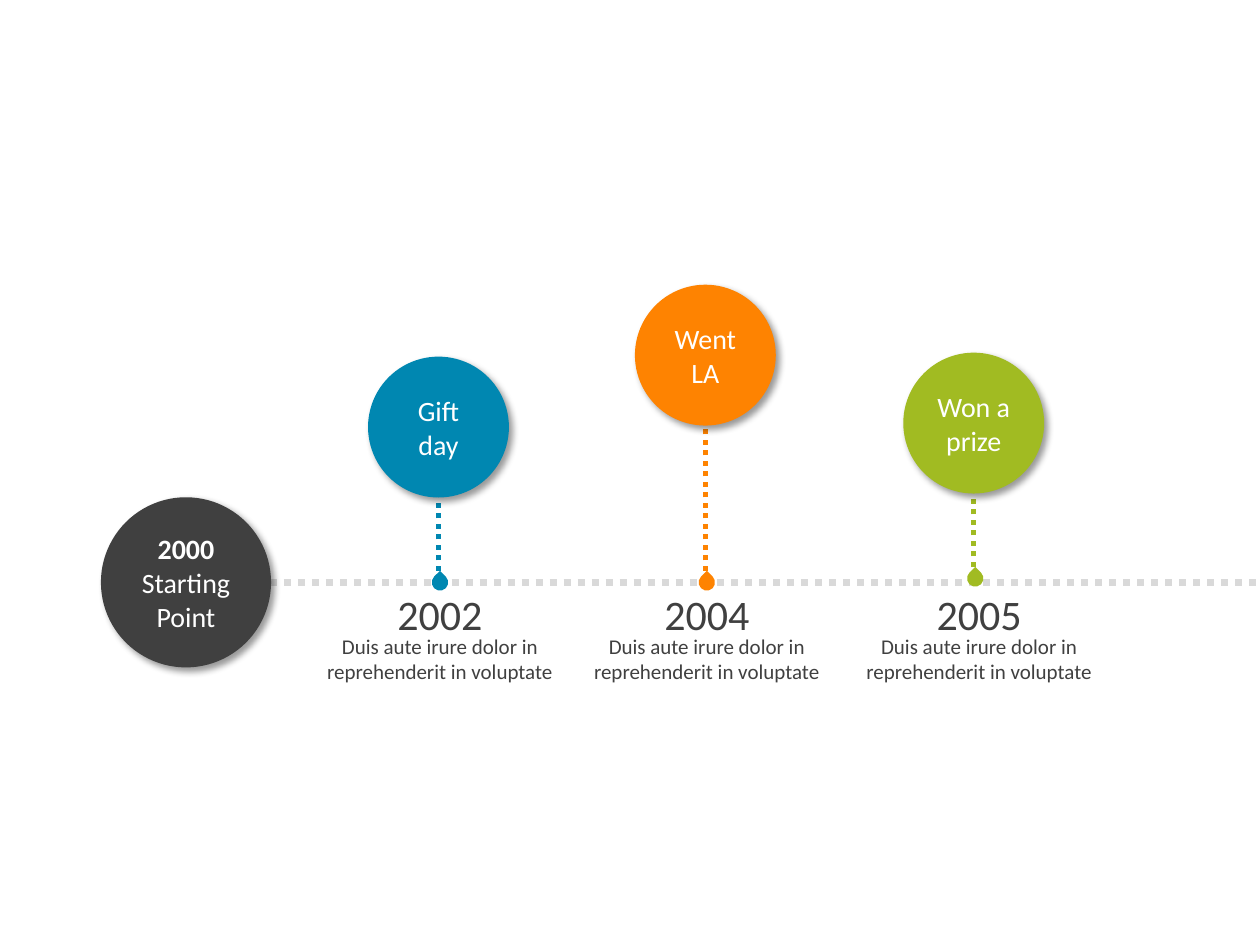
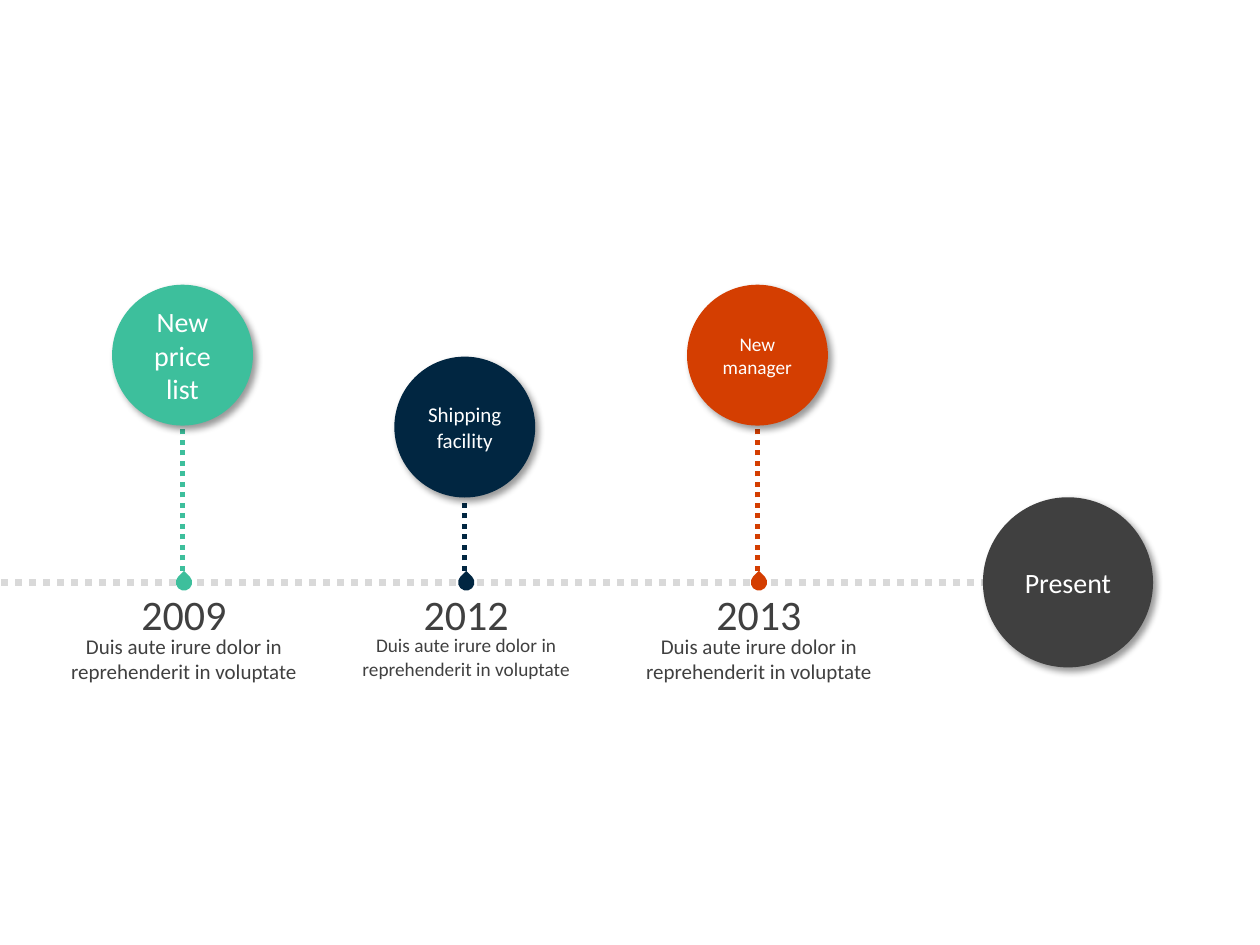
"""Build a two-slide timeline of dated events between a starting point and the present."""
from typing import NamedTuple

from lxml.etree import SubElement
from pptx import Presentation
from pptx.dml.color import RGBColor
from pptx.enum.dml import MSO_LINE
from pptx.enum.shapes import MSO_CONNECTOR, MSO_SHAPE
from pptx.enum.text import MSO_ANCHOR, MSO_AUTO_SIZE, PP_ALIGN
from pptx.oxml.ns import qn
from pptx.util import Cm, Pt

COLOURS = {
    "axis": "D9D9D9", "dark": "404040", "white": "FFFFFF", "shadow": "000000",
    "blue": "0087B1", "orange": "FE8301", "green": "A1BB22",
    "teal": "3DBF9C", "navy": "012641", "red": "D43E01",
}
FONT = "Calibri"
DETAIL = "Duis aute irure dolor in reprehenderit in voluptate"
AXIS_Y = 11.74
MILESTONE_SIZE = 3.43
BUBBLE_SIZE = 2.84
DROP_SIZE = 0.33
DROP_SHIFT = 0.03
HIGH, LOW = 5.74, 7.19


class Event(NamedTuple):
    year: str
    caption: str
    colour: str
    centre: float
    top: float
    caption_size: int = 16
    detail_size: int = 12
    lift: float = 0
    label_shift: float = 0


FIRST_EVENTS = [
    Event("2002", "Gift day", "blue", 8.84, LOW),
    Event("2004", "Went LA", "orange", 14.22, HIGH),
    Event("2005", "Won a prize", "green", 19.63, LOW - 0.08, lift=0.08, label_shift=0.08),
]
LATER_EVENTS = [
    Event("2009", "New price list", "teal", 3.68, HIGH),
    Event("2012", "Shipping facility", "navy", 9.37, LOW, caption_size=12, detail_size=11),
    Event("2013", "New manager", "red", 15.27, HIGH, caption_size=11),
]


def rgb(name):
    return RGBColor.from_string(COLOURS[name])


def write(box, lines, size, colour, bold_first=False):
    frame = box.text_frame
    frame.word_wrap = True
    frame.text = "\n".join(lines)
    for index, para in enumerate(frame.paragraphs):
        para.alignment = PP_ALIGN.CENTER
        para.font.name = FONT
        para.font.size = Pt(size)
        para.font.bold = bold_first and index == 0
        para.font.color.rgb = rgb(colour)


def add_dotted_line(page, start, end, colour, width):
    line = page.shapes.add_connector(MSO_CONNECTOR.STRAIGHT, *map(Cm, start + end))
    line.line.color.rgb = rgb(colour)
    line.line.width = Pt(width)
    line.line.dash_style = MSO_LINE.ROUND_DOT
    SubElement(line._element.spPr, qn("a:effectLst"))


def add_solid(page, preset, centre, top, size, colour):
    shape = page.shapes.add_shape(preset, Cm(centre - size / 2), Cm(top), Cm(size), Cm(size))
    shape.fill.solid()
    shape.fill.fore_color.rgb = rgb(colour)
    shape.line.fill.background()
    shape.shadow.inherit = False
    return shape


def cast_shadow(shape):
    effects = shape._element.spPr.find(qn("a:effectLst"))
    shadow = SubElement(effects, qn("a:outerShdw"), blurRad=str(Pt(4)), dist=str(Pt(3)),
                        dir="2700000", algn="tl", rotWithShape="0")
    tint = SubElement(shadow, qn("a:srgbClr"), val=COLOURS["shadow"])
    SubElement(tint, qn("a:alpha"), val="40000")


def add_circle(page, centre, top, size, colour, lines, text_size=16, bold_first=False):
    circle = add_solid(page, MSO_SHAPE.OVAL, centre, top, size, colour)
    cast_shadow(circle)
    circle.text_frame.vertical_anchor = MSO_ANCHOR.MIDDLE
    write(circle, lines, text_size, "white", bold_first)


def add_milestone(page, centre, lines, bold_first=False):
    add_circle(page, centre, AXIS_Y - MILESTONE_SIZE / 2, MILESTONE_SIZE, "dark", lines,
               bold_first=bold_first)


def add_label(page, event):
    group = page.shapes.add_group_shape()
    centre = event.centre + DROP_SHIFT + event.label_shift
    for text, size, top, width in ((event.year, 24, AXIS_Y, 3.23),
                                   (DETAIL, event.detail_size, 12.65, 5.41)):
        box = group.shapes.add_textbox(Cm(centre - width / 2), Cm(top), Cm(width), Cm(1.27))
        write(box, [text], size, "dark")
        box.text_frame.auto_size = MSO_AUTO_SIZE.SHAPE_TO_FIT_TEXT


def add_event(page, event):
    drop = add_solid(page, MSO_SHAPE.TEAR, event.centre + DROP_SHIFT,
                     AXIS_Y - DROP_SIZE / 2 - event.lift, DROP_SIZE, event.colour)
    drop.rotation = 315
    stem_foot = AXIS_Y - 0.23 - event.lift
    stem_head = event.top + BUBBLE_SIZE - 0.1
    add_dotted_line(page, (event.centre, stem_foot), (event.centre, stem_head), event.colour, 3)
    add_circle(page, event.centre, event.top, BUBBLE_SIZE, event.colour,
               [event.caption], event.caption_size)
    add_label(page, event)


def add_timeline(deck, axis_start, axis_end, events):
    page = deck.slides.add_slide(deck.slide_layouts[6])
    add_dotted_line(page, (axis_start, AXIS_Y), (axis_end, AXIS_Y), "axis", 4)
    for event in events:
        add_event(page, event)
    return page


def main():
    deck = Presentation()
    deck.slide_width, deck.slide_height = Cm(25.4), Cm(19.05)
    first = add_timeline(deck, 5.44, 25.4, FIRST_EVENTS)
    add_milestone(first, 3.75, ["2000", "Starting Point"], bold_first=True)
    later = add_timeline(deck, 0.03, 20, LATER_EVENTS)
    add_milestone(later, 21.53, ["Present"])
    deck.save("out.pptx")


if __name__ == "__main__":
    main()
